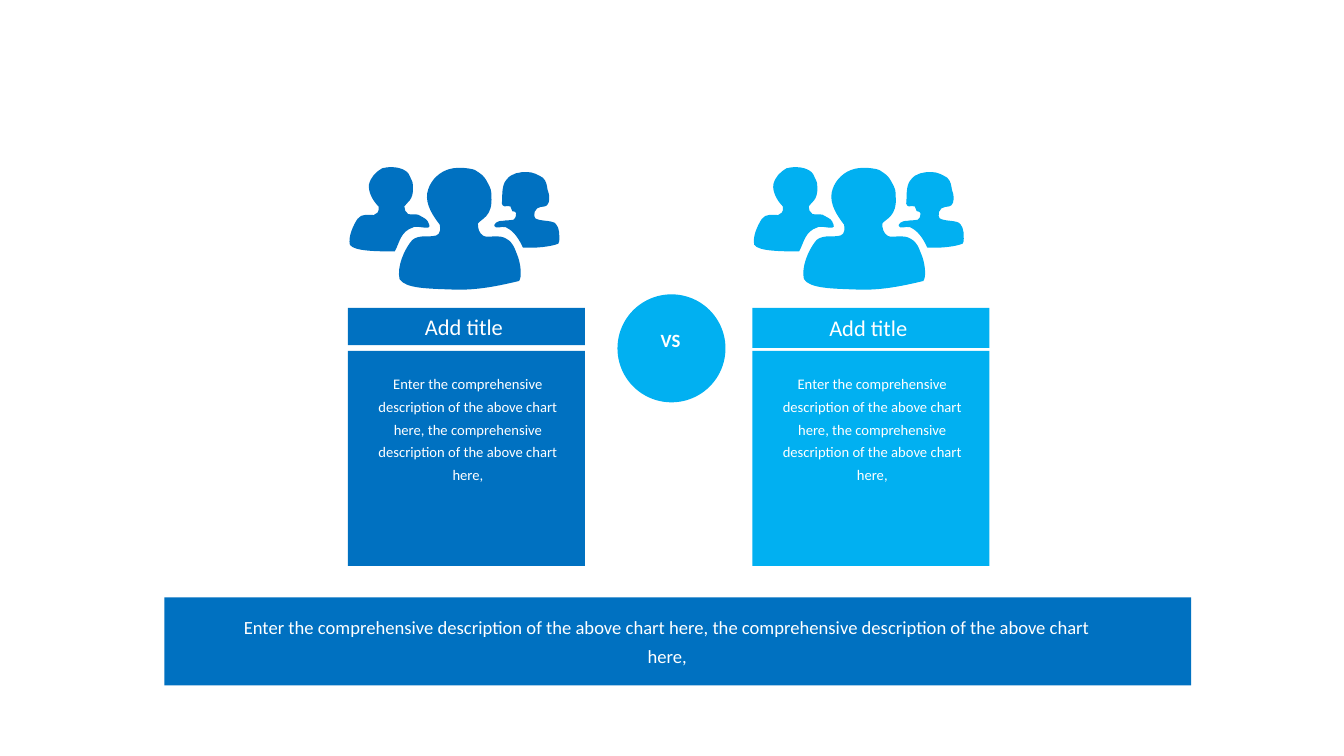
"""Build a slide that sets two teams against each other above a summary bar."""
import dataclasses
import itertools
import typing

import pptx
import pptx.dml.color
import pptx.enum.shapes
import pptx.enum.text
import pptx.oxml.ns
import pptx.util

COLS, ROWS = 1406, 791
BLUE, SKY, WHITE = "0071C1", "01B0F1", "FFFFFF"
DESCRIPTION = ("Enter the comprehensive description of the above chart here, "
               "the comprehensive description of the above chart here,")
RECT = pptx.enum.shapes.MSO_SHAPE.RECTANGLE
OVAL = pptx.enum.shapes.MSO_SHAPE.OVAL
TOP = pptx.enum.text.MSO_ANCHOR.TOP
MIDDLE = pptx.enum.text.MSO_ANCHOR.MIDDLE
FIXED = pptx.enum.text.MSO_AUTO_SIZE.NONE
GROW = pptx.enum.text.MSO_AUTO_SIZE.SHAPE_TO_FIT_TEXT

FRONT_PERSON = [
    (497, 178),
    (503, 182, 506, 183, 510, 191), (514, 198, 514, 200, 514, 205),
    (516, 227, 503, 229, 500, 234), (500, 239, 501, 244, 506, 247),
    (511, 249, 523, 245, 530, 250), (537, 254, 538, 259, 542, 269),
    (545, 278, 546, 290, 543, 294), (522, 299, 499, 304, 474, 303),
    (448, 302, 424, 302, 418, 292), (415, 279, 423, 262, 429, 254),
    (434, 245, 448, 248, 453, 247), (458, 247, 462, 244, 460, 235),
    (453, 226, 445, 214, 447, 202), (449, 191, 457, 182, 467, 178),
    (477, 174, 489, 176, 494, 177)]
LEFT_PERSON = [
    (421, 177),
    (425, 179, 427, 180, 429, 185), (432, 191, 432, 192, 432, 195),
    (433, 210, 425, 212, 423, 216), (423, 219, 424, 222, 427, 224),
    (431, 225, 437, 223, 440, 226), (445, 229, 447, 229, 449, 235),
    (452, 242, 435, 235, 432, 238), (419, 242, 418, 254, 413, 263),
    (396, 263, 370, 263, 366, 256), (364, 247, 370, 235, 374, 229),
    (378, 223, 387, 225, 391, 225), (394, 224, 397, 222, 396, 216),
    (390, 210, 385, 201, 386, 193), (388, 185, 393, 180, 400, 176),
    (407, 174, 415, 175, 418, 176)]
RIGHT_PERSON = [
    (525, 213),
    (526, 208, 524, 194, 530, 188), (535, 181, 544, 180, 551, 180),
    (558, 180, 563, 183, 568, 186), (572, 190, 572, 194, 573, 199),
    (575, 204, 575, 208, 574, 212), (573, 215, 572, 215, 570, 216),
    (567, 217, 564, 216, 562, 218), (560, 220, 558, 223, 559, 226),
    (559, 228, 560, 229, 564, 230), (568, 231, 573, 231, 577, 232),
    (580, 233, 581, 233, 582, 235), (584, 237, 584, 239, 585, 243),
    (585, 247, 586, 253, 584, 255), (577, 258, 560, 260, 547, 259),
    (544, 252, 539, 244, 533, 240), (528, 235, 522, 239, 519, 238),
    (516, 236, 517, 235, 519, 233), (520, 232, 523, 231, 527, 231),
    (531, 230, 534, 231, 537, 230), (540, 228, 540, 225, 540, 223),
    (540, 221, 538, 222, 536, 221), (535, 220, 535, 217, 534, 216),
    (532, 215, 529, 216, 528, 216), (526, 215, 526, 215, 526, 215)]
PEOPLE = [FRONT_PERSON, LEFT_PERSON, RIGHT_PERSON]
PEOPLE_LEFT = 364


@dataclasses.dataclass
class Box:
    """Place on the grid, in columns and rows."""
    left: int
    top: int
    width: int
    height: int


@dataclasses.dataclass
class Team:
    """One side of the comparison."""
    left: int
    title_height: int
    color: str


@dataclasses.dataclass
class Label:
    """Centred white text and the frame it sits in."""
    text: str
    size: float
    bold: bool = False
    spacing: float = 1.3
    anchor: typing.Any = TOP
    wrap: bool = True
    fit: typing.Any = FIXED
    inset: tuple[float, float] = (0.1, 0.05)


TEAMS = [Team(364, 39, BLUE), Team(787, 42, SKY)]

prs = pptx.Presentation()
prs.slide_width = pptx.util.Inches(14.06)
prs.slide_height = pptx.util.Inches(7.91)
COL, ROW = prs.slide_width / COLS, prs.slide_height / ROWS


def rgb(color: str) -> pptx.dml.color.RGBColor:
    """Turn a hex string into a colour."""
    return pptx.dml.color.RGBColor.from_string(color)


def place(box: Box) -> list[int]:
    """Turn a grid place into slide lengths."""
    return [round(v) for v in (box.left * COL, box.top * ROW,
                               box.width * COL, box.height * ROW)]


def paint(sp: typing.Any, color: str) -> None:
    """Give a shape a flat fill without line or shadow."""
    sp.shadow.inherit = False
    sp.fill.solid()
    sp.fill.fore_color.rgb = rgb(color)
    sp.line.fill.background()


def write(sp: typing.Any, label: Label) -> None:
    """Set a label in a shape or text box."""
    tf = sp.text_frame
    across, down = (pptx.util.Inches(v) for v in label.inset)
    p = tf.paragraphs[0]
    r = p.add_run()
    r.text = label.text
    r.font.color.rgb = rgb(WHITE)
    formats = {
        tf: {"word_wrap": label.wrap, "vertical_anchor": label.anchor,
             "auto_size": label.fit, "margin_left": across,
             "margin_right": across, "margin_top": down, "margin_bottom": down},
        p: {"alignment": pptx.enum.text.PP_ALIGN.CENTER,
            "line_spacing": label.spacing},
        r.font: {"name": "Calibri", "size": pptx.util.Pt(label.size),
                 "bold": label.bold}}
    for target, values in formats.items():
        for name, value in values.items():
            setattr(target, name, value)


def add_block(shapes: typing.Any, kind: typing.Any, box: Box, color: str) -> typing.Any:
    """Draw a filled preset shape."""
    sp = shapes.add_shape(kind, *place(box))
    paint(sp, color)
    return sp


def add_label(shapes: typing.Any, box: Box, label: Label) -> None:
    """Draw a text box."""
    write(shapes.add_textbox(*place(box)), label)


def bend(sp: typing.Any) -> None:
    """Join each three line segments of a freeform into one cubic curve."""
    lines = list(sp.element.iter(pptx.oxml.ns.qn("a:lnTo")))
    for first, second, third in zip(lines[::3], lines[1::3], lines[2::3]):
        first.tag = pptx.oxml.ns.qn("a:cubicBezTo")
        for line in (second, third):
            first.append(line[0])
            line.getparent().remove(line)


def add_people(shapes: typing.Any, team: Team) -> None:
    """Draw the three people of a team as a group."""
    group = shapes.add_group_shape()
    shift = team.left - PEOPLE_LEFT
    for outline in PEOPLE:
        numbers = list(itertools.chain.from_iterable(outline))
        points = [((x + shift) * COL, y * ROW)
                  for x, y in zip(numbers[::2], numbers[1::2])]
        builder = group.shapes.build_freeform(*points[0])
        builder.add_line_segments(points[1:], close=False)
        sp = builder.convert_to_shape()
        bend(sp)
        paint(sp, team.color)


def add_team(shapes: typing.Any, team: Team) -> None:
    """Draw a team's people, title and description."""
    add_people(shapes, team)
    title = add_block(shapes, RECT, Box(team.left, 322, 248, team.title_height), team.color)
    write(title, Label("Add title ", 16.9, spacing=1.0, anchor=MIDDLE))
    add_block(shapes, RECT, Box(team.left, 367, 248, 225), team.color)
    add_label(shapes, Box(team.left + 18, 382, 215, 152), Label(DESCRIPTION, 11, fit=GROW))


def main() -> None:
    """Compose and save the slide."""
    s = prs.slides.add_slide(prs.slide_layouts[6])
    for team in TEAMS:
        add_team(s.shapes, team)
    versus = s.shapes.add_group_shape().shapes
    add_block(versus, OVAL, Box(646, 308, 113, 113), SKY)
    add_label(versus, Box(660, 332, 83, 63), Label("VS", 14.1, bold=True, wrap=False))
    add_block(s.shapes, RECT, Box(172, 625, 1074, 92), BLUE)
    add_label(s.shapes, Box(238, 636, 920, 63),
              Label(DESCRIPTION, 14, anchor=MIDDLE, fit=GROW, inset=(0.05, 0.02)))
    prs.save("out.pptx")


if __name__ == "__main__":
    main()
